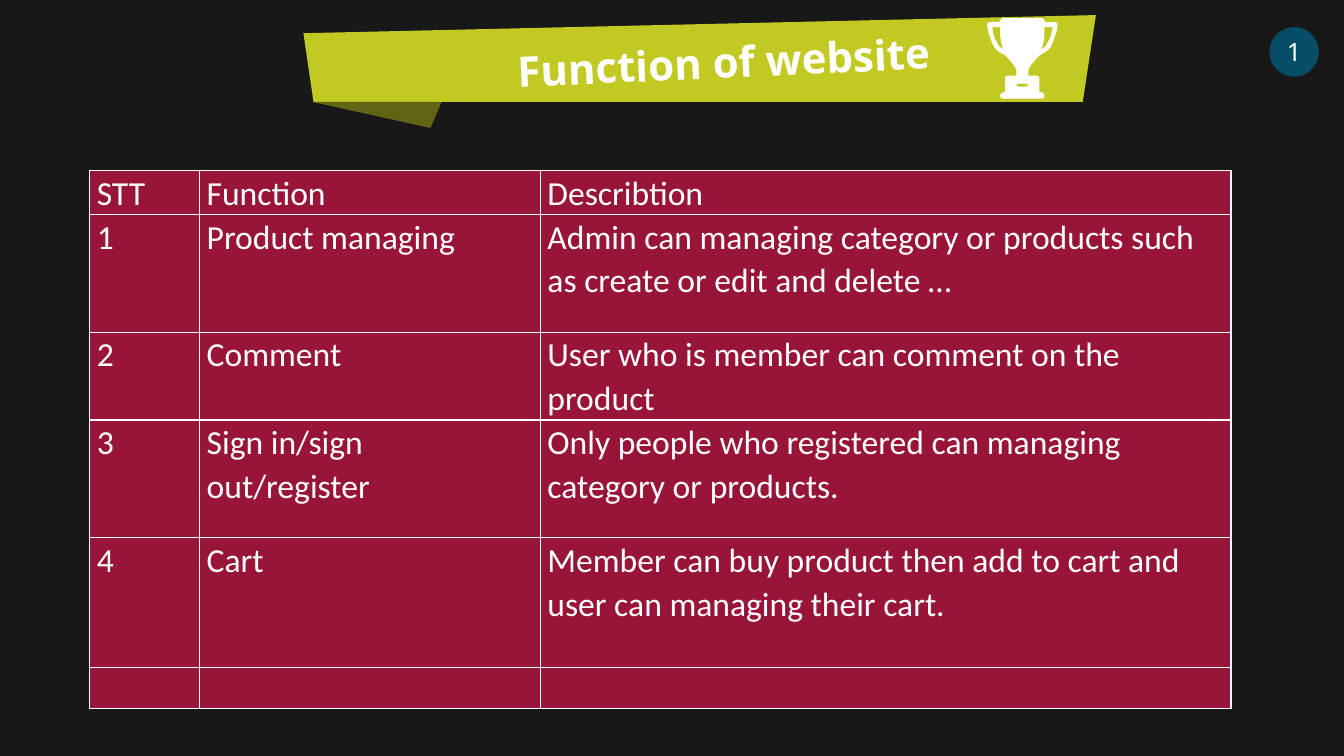
import pptx
import pptx.util
import pptx.dml.color
import pptx.enum.shapes
import pptx.enum.text
import pptx.oxml
import pptx.oxml.ns

Inches = pptx.util.Inches
Align = pptx.enum.text.PP_ALIGN
Anchor = pptx.enum.text.MSO_ANCHOR

COLORS = {
    "background": "181818",
    "badge": "074D67",
    "banner": "C2C923",
    "fold": "616412",
    "cell": "981438",
    "white": "FFFFFF",
}


def rgb(name):
    return pptx.dml.color.RGBColor.from_string(COLORS[name])


def write_text(text_frame, text, font="Calibri", size=24, bold=False, color="white",
               align=Align.LEFT, anchor=Anchor.TOP, spacing=1.0, wrap=True, margins=(0, 0)):
    text_frame.word_wrap = wrap
    text_frame.auto_size = pptx.enum.text.MSO_AUTO_SIZE.NONE
    text_frame.vertical_anchor = anchor
    text_frame.margin_left = text_frame.margin_right = Inches(margins[0])
    text_frame.margin_top = text_frame.margin_bottom = Inches(margins[1])
    format_paragraph(text_frame.paragraphs[0], text, font, size, bold, color, align, spacing)


def format_paragraph(paragraph, text, font, size, bold, color, align, spacing):
    paragraph.alignment = align
    paragraph.line_spacing = spacing
    run = paragraph.add_run()
    run.text = text
    run.font.name = font
    run.font.size = pptx.util.Pt(size)
    run.font.bold = bold
    run.font.color.rgb = rgb(color)


class SlideBuilder:
    def __init__(self, presentation):
        layout = presentation.slide_layouts.get_by_name("Title Only")
        self.slide = presentation.slides.add_slide(layout)
        self.shapes = self.slide.shapes
        self.slide.background.fill.solid()
        self.slide.background.fill.fore_color.rgb = rgb("background")

    def paint(self, shape, color):
        shape.shadow.inherit = False
        shape.fill.solid()
        shape.fill.fore_color.rgb = rgb(color)
        shape.line.fill.background()

    def title(self, text, left, top, width, height, rotation):
        title = self.shapes.title
        title.left, title.top = Inches(left), Inches(top)
        title.width, title.height = Inches(width), Inches(height)
        title.rotation = rotation
        write_text(title.text_frame, text, font="Open Sans", size=30, bold=True,
                   align=Align.CENTER, anchor=Anchor.MIDDLE)
        self.shapes._spTree.append(title._element)

    def badge(self, text, left, top, size):
        shape = self.shapes.add_shape(pptx.enum.shapes.MSO_SHAPE.OVAL, Inches(left),
                                      Inches(top), Inches(size), Inches(size))
        self.paint(shape, "badge")
        write_text(shape.text_frame, text, font="Noto Sans", size=18,
                   align=Align.CENTER, anchor=Anchor.MIDDLE, wrap=False)

    def outline(self, contours, color):
        scaled = [[(Inches(x), Inches(y)) for x, y in contour] for contour in contours]
        builder = self.shapes.build_freeform(*scaled[0][0])
        builder.add_line_segments(scaled[0][1:], close=True)
        for contour in scaled[1:]:
            builder.move_to(*contour[0])
            builder.add_line_segments(contour[1:], close=True)
        self.paint(builder.convert_to_shape(), color)

    def table(self, rows, left, top, widths, heights):
        frame = self.shapes.add_table(len(rows), len(widths), Inches(left), Inches(top),
                                      Inches(sum(widths)), Inches(sum(heights)))
        table = frame.table
        for column, width in zip(table.columns, widths):
            column.width = Inches(width)
        for row, height, texts in zip(table.rows, heights, rows):
            row.height = Inches(height)
            for cell, text in zip(row.cells, texts):
                self.cell(cell, text)

    def cell(self, cell, text):
        cell.fill.solid()
        cell.fill.fore_color.rgb = rgb("cell")
        if text:
            cell.margin_left = cell.margin_right = Inches(0.07)
            cell.margin_top = cell.margin_bottom = 0
            format_paragraph(cell.text_frame.paragraphs[0], text, "Calibri", 24, False,
                             "white", Align.LEFT, 1.07)
        properties = cell._tc.get_or_add_tcPr()
        for index, side in enumerate("LRTB"):
            properties.insert(index, pptx.oxml.parse_xml(
                f'<a:ln{side} {pptx.oxml.ns.nsdecls("a")} w="12700"><a:solidFill>'
                f'<a:srgbClr val="{COLORS["white"]}"/></a:solidFill></a:ln{side}>'))


TROPHY_CENTER = 10.14
TROPHY_HALF = [
    (0, 0.18), (0.2, 0.18), (0.22, 0.2), (0.23, 0.22), (0.33, 0.22), (0.35, 0.24),
    (0.34, 0.31), (0.31, 0.4), (0.28, 0.47), (0.24, 0.51), (0.17, 0.55), (0.15, 0.57),
    (0.09, 0.64), (0.06, 0.69), (0.06, 0.75), (0.15, 0.75), (0.17, 0.77), (0.17, 0.91),
    (0.2, 0.92), (0.22, 0.94), (0.22, 0.96), (0.2, 0.98), (0, 0.98),
]
HANDLE_HOLE = [(0.22, 0.27), (0.3, 0.27), (0.28, 0.37), (0.23, 0.46), (0.19, 0.49),
               (0.21, 0.42), (0.22, 0.35)]
SLOT_HALF = [(0, 0.83), (0.04, 0.83), (0.06, 0.84), (0.06, 0.85), (0.04, 0.86), (0, 0.86)]


def side(points, sign):
    return [(TROPHY_CENTER + sign * x, y) for x, y in points]


def mirrored(points):
    return side(points, 1) + side(points[-2:0:-1], -1)


FUNCTIONS = [
    ("STT", "Function", "Describtion"),
    ("1", "Product managing",
     "Admin can managing category or products such as create or edit and delete …"),
    ("2", "Comment", "User who is member can comment on the product"),
    ("3", "Sign in/sign out/register",
     "Only people who registered can managing category or products."),
    ("4", "Cart",
     "Member can buy product then add to cart and user can managing their cart."),
    ("", "", ""),
]

presentation = pptx.Presentation()
presentation.slide_width = Inches(13.33)
presentation.slide_height = Inches(7.5)

builder = SlideBuilder(presentation)
builder.badge("1", 12.59, 0.27, 0.49)
builder.outline([[(3.11, 1.01), (3.01, 0.33), (10.87, 0.15), (10.74, 1.01)]], "banner")
builder.outline([[(4.27, 1.27), (4.38, 1.01), (3.09, 1.01)]], "fold")
builder.outline([mirrored(TROPHY_HALF), side(HANDLE_HOLE, -1), side(HANDLE_HOLE, 1),
                 mirrored(SLOT_HALF)], "white")
builder.title("Function of website", 4.94, 0.3, 4.47, 0.61, 357.3)
builder.table(FUNCTIONS, 0.89, 1.69, [1.09, 3.38, 6.85],
              [0.43, 1.17, 0.86, 1.17, 1.29, 0.4])

presentation.save("out.pptx")
